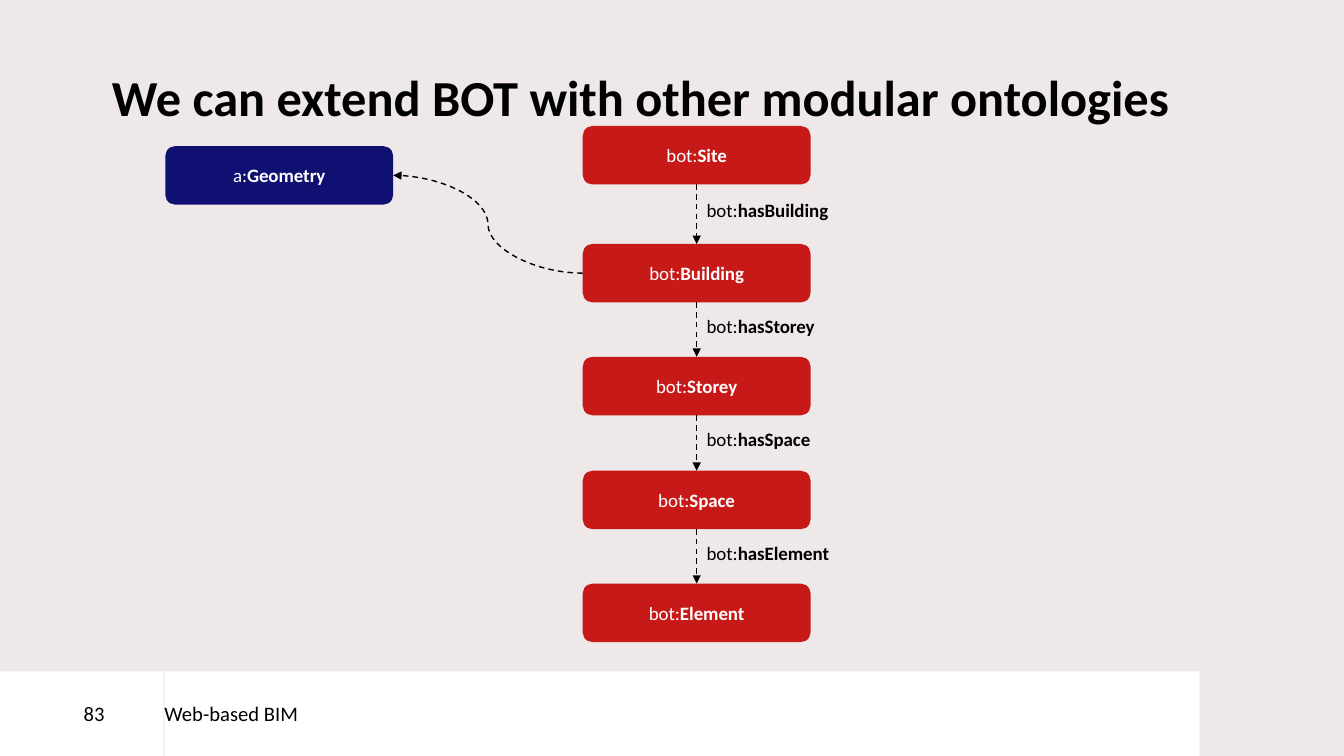
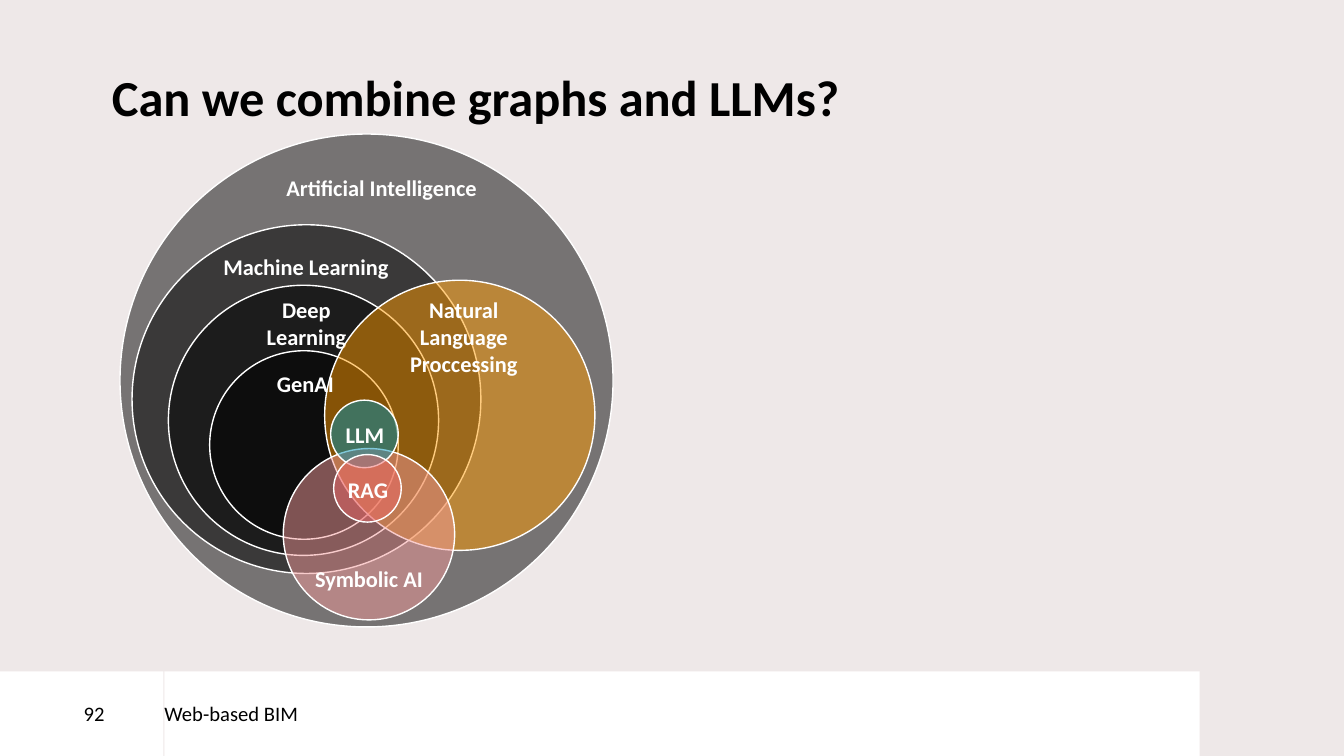
from lxml import etree
from pptx import Presentation
from pptx.dml.color import RGBColor
from pptx.enum import dml, shapes, text
from pptx.oxml.ns import qn
from pptx.util import Inches, Pt

FONT = "Calibri"
BLACK, WHITE = "000000", "FFFFFF"
BACKGROUND, RED, NAVY = "EEE8E8", "C81919", "101073"
BOX_W, BOX_H = 2.26, 0.58
BOX_X = 5.78

# class, top of its box, relation to the next class, top of the relation label
CLASSES = [
    ("Site", 1.25, "hasBuilding", 1.92),
    ("Building", 2.42, "hasStorey", 3.07),
    ("Storey", 3.54, "hasSpace", 4.19),
    ("Space", 4.67, "hasElement", 5.32),
    ("Element", 5.79, None, None),
]

# Groups from back to front; labels lie above the circles of their group.
# circle: left, top, diameter, colour; label: left, top, width, lines, text
VENN_GROUPS = [
    ([(1.19, 1.33, 4.89, BLACK), (1.31, 2.23, 3.46, BLACK), (1.67, 2.83, 2.68, BLACK)],
     [(2.68, 1.73, 2.21, 1, "Artificial Intelligence"),
      (1.93, 2.51, 2.21, 1, "Machine Learning"),
      (2.41, 2.94, 1.26, 2, "Deep Learning")]),
    ([(2.08, 3.48, 1.87, BLACK), (3.22, 2.78, 2.68, "FF9A00")],
     [(3.97, 2.94, 1.26, 3, "Natural Language Proccessing"),
      (2.28, 3.67, 1.5, 1, "GenAI")]),
    ([(2.81, 4.45, 1.7, "F29A9A"), (3.28, 3.97, 0.67, "0092B5")],
     [(3.22, 4.18, 0.8, 1, "LLM"), (2.91, 5.61, 1.5, 1, "Symbolic AI")]),
    ([(3.31, 4.51, 0.67, "EC6767")],
     [(3.25, 4.72, 0.8, 1, "RAG")]),
]


def rgb(value):
    return RGBColor.from_string(value)


def set_frame(tf, margins=None, anchor=text.MSO_ANCHOR.TOP):
    """Wrap the text; margins are left, top, right, bottom in inches."""
    tf.word_wrap = True
    tf.auto_size = text.MSO_AUTO_SIZE.NONE
    tf.vertical_anchor = anchor
    if margins:
        for side, value in zip(("left", "top", "right", "bottom"), margins):
            setattr(tf, f"margin_{side}", Inches(value))


def write(tf, runs, size, color, align=text.PP_ALIGN.LEFT):
    """Fill the first paragraph with (text, bold) runs."""
    p = tf.paragraphs[0]
    p.alignment = align
    for words, bold in runs:
        r = p.add_run()
        r.text = words
        for name, value in {"name": FONT, "size": Pt(size), "bold": bold}.items():
            setattr(r.font, name, value)
        r.font.color.rgb = rgb(color)
    return p


def add_shape(s, kind, x, y, w, h, fill):
    sp = s.shapes.add_shape(kind, Inches(x), Inches(y), Inches(w), Inches(h))
    sp.shadow.inherit = False
    sp.fill.solid()
    sp.fill.fore_color.rgb = rgb(fill)
    sp.line.fill.background()
    return sp


def add_label(s, x, y, w, h, runs, size, color, margins=None, align=text.PP_ALIGN.LEFT):
    tf = s.shapes.add_textbox(Inches(x), Inches(y), Inches(w), Inches(h)).text_frame
    set_frame(tf, margins)
    write(tf, runs, size, color, align)


def add_class_box(s, x, y, prefix, name, fill):
    sp = add_shape(s, shapes.MSO_SHAPE.ROUNDED_RECTANGLE, x, y, BOX_W, BOX_H, fill)
    set_frame(sp.text_frame, anchor=text.MSO_ANCHOR.MIDDLE)
    write(sp.text_frame, [(prefix, False), (name, True)], 13.5, WHITE,
          text.PP_ALIGN.CENTER)
    return sp


def add_arrow(s, kind, start, start_side, end, end_side):
    """Dashed arrow between two connection sites."""
    line = s.shapes.add_connector(kind, 0, 0, 0, 0)
    line.begin_connect(start, start_side)
    line.end_connect(end, end_side)
    line.line.color.rgb = rgb(BLACK)
    line.line.width = Pt(1)
    line.line.dash_style = dml.MSO_LINE.DASH
    etree.SubElement(line.line._get_or_add_ln(), qn("a:tailEnd"), type="triangle")
    etree.SubElement(line._element.spPr, qn("a:effectLst"))


def add_circle(s, x, y, d, color):
    """Half-transparent circle with a white outline."""
    sp = add_shape(s, shapes.MSO_SHAPE.OVAL, x, y, d, d, color)
    clr = sp._element.spPr.find(qn("a:solidFill")).find(qn("a:srgbClr"))
    etree.SubElement(clr, qn("a:alpha"), val="50000")
    sp.line.color.rgb = rgb(WHITE)
    sp.line.width = Pt(1)


def add_footer_band(s, x, w, words, left_margin):
    sp = add_shape(s, shapes.MSO_SHAPE.RECTANGLE, x, 6.66, w, 0.84, WHITE)
    set_frame(sp.text_frame, (left_margin, 0, 0, 0), text.MSO_ANCHOR.MIDDLE)
    write(sp.text_frame, [(words, False)], 14.7, BLACK)


def add_slide(prs, title, number):
    s = prs.slides.add_slide(prs.slide_layouts[5])
    s.background.fill.solid()
    s.background.fill.fore_color.rgb = rgb(BACKGROUND)
    sp = s.shapes.title
    place = {"left": 1.11, "top": 0.76, "width": 11.02, "height": 0.79}
    for name, value in place.items():
        setattr(sp, name, Inches(value))
    set_frame(sp.text_frame, (0, 0, 0, 0))
    write(sp.text_frame, [(title, True)], 36, BLACK).line_spacing = Pt(36)
    add_footer_band(s, 1.63, 10.27, "Web-based BIM", 0)
    add_footer_band(s, 0, 1.62, str(number), 0.83)
    return s


def draw_ontology(s):
    boxes = [add_class_box(s, BOX_X, top, "bot:", name, RED)
             for name, top, _, _ in CLASSES]
    for upper, lower, (_, _, relation, label_top) in zip(boxes, boxes[1:], CLASSES):
        add_arrow(s, shapes.MSO_CONNECTOR.STRAIGHT, upper, 2, lower, 0)
        add_label(s, BOX_X + BOX_W / 2, label_top, 2.02, 0.33,
                  [("bot:", False), (relation, True)], 13.5, BLACK)
    geometry = add_class_box(s, 1.64, 1.45, "a:", "Geometry", NAVY)
    add_arrow(s, shapes.MSO_CONNECTOR.CURVE, boxes[1], 1, geometry, 3)


def draw_venn(s):
    for circles, labels in VENN_GROUPS:
        for circle in circles:
            add_circle(s, *circle)
        for x, y, w, lines, words in labels:
            add_label(s, x, y, w, 0.27 * lines, [(words, True)], 16, WHITE,
                      (0.04, 0, 0.04, 0), text.PP_ALIGN.CENTER)


def main():
    prs = Presentation()
    prs.slide_width, prs.slide_height = Inches(13.33), Inches(7.5)
    draw_ontology(add_slide(prs, "We can extend BOT with other modular ontologies", 83))
    draw_venn(add_slide(prs, "Can we combine graphs and LLMs?", 92))
    prs.save("out.pptx")


if __name__ == "__main__":
    main()
